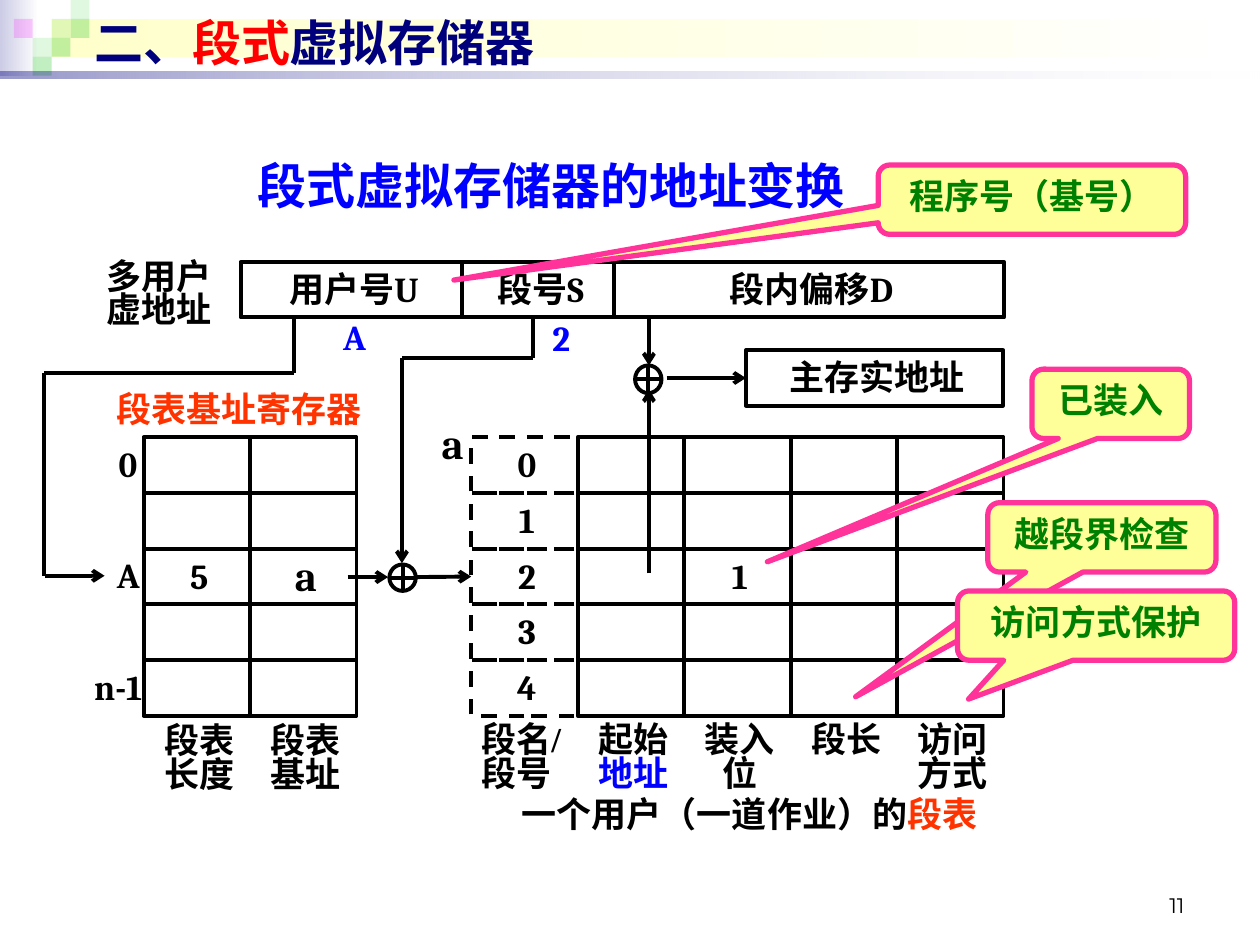
from lxml import etree
from pptx import Presentation, util as u
from pptx.dml.color import RGBColor
from pptx.enum import dml, shapes, text as t
from pptx.oxml.ns import qn

BLACK = RGBColor(0, 0, 0)
WHITE = RGBColor(255, 255, 255)
NAVY = RGBColor(0, 0, 0x7D)
BLUE = RGBColor(0, 0, 255)
RED = RGBColor(255, 0, 0)
ORANGE = RGBColor(255, 0x33, 0)
GREEN = RGBColor(0, 0x80, 0)
LEAF = RGBColor(0x33, 0xCC, 0x33)
MAGENTA = RGBColor(255, 0, 255)
PINK = RGBColor(255, 0x33, 0x99)
YELLOW = RGBColor(255, 255, 0x99)
CREAM = RGBColor(255, 255, 0xCC)
LILAC = RGBColor(0xCC, 0xCC, 0xE6)
RECT = shapes.MSO_SHAPE.RECTANGLE
PLUS = shapes.MSO_SHAPE.FLOWCHART_OR
CALLOUT = shapes.MSO_SHAPE.ROUNDED_RECTANGULAR_CALLOUT
LEFT, MID, RIGHT = t.PP_ALIGN.LEFT, t.PP_ALIGN.CENTER, t.PP_ALIGN.RIGHT
TOP, CENTRE, BOTTOM = t.MSO_ANCHOR.TOP, t.MSO_ANCHOR.MIDDLE, t.MSO_ANCHOR.BOTTOM

deck = Presentation()
deck.slide_width, deck.slide_height = u.Inches(10), u.Inches(7.5)
slide = deck.slides.add_slide(deck.slide_layouts[6])


def put(spot, text="", hue=BLACK, kind=None, size=20, face="Cambria", bold=True,
        align=MID, anchor=CENTRE, tight=True, more=()):
    """Add a text box, or an outlined shape of a kind; more holds (text, colour) runs."""
    spot = [u.Inches(n) for n in spot]
    if kind is None:
        box = slide.shapes.add_textbox(*spot)
    else:
        box = slide.shapes.add_shape(kind, *spot)
        box.shadow.inherit = False
        box.fill.background()
        box.line.color.rgb = BLACK
        box.line.width = u.Pt(2.25)
    if not text:
        return box
    frame = box.text_frame
    frame.text = text
    frame.word_wrap = not tight
    frame.vertical_anchor = anchor
    if tight:
        frame.margin_left = u.Inches(0.08)
        frame.margin_top = frame.margin_right = u.Inches(0.04)
        frame.margin_bottom = 0
    for extra, _ in more:
        frame.paragraphs[0].add_run().text = extra
    for para in frame.paragraphs:
        para.alignment = align
        if tight:
            para.line_spacing = 0.8
        for run in para.runs:
            run.font.size, run.font.name, run.font.bold = u.Pt(size), face, bold
            run.font.color.rgb = hue
    for run, (_, tone) in zip(frame.paragraphs[0].runs[1:], more):
        run.font.color.rgb = tone
    return box


def link(x1, y1, x2, y2, arrow=True, goal=None):
    """Draw a line; goal is a box whose left side it joins."""
    line = slide.shapes.add_connector(shapes.MSO_CONNECTOR.STRAIGHT,
                                      *[u.Inches(n) for n in (x1, y1, x2, y2)])
    line.line.color.rgb = BLACK
    line.line.width = u.Pt(2.25)
    if arrow:
        etree.SubElement(line.line._get_or_add_ln(), qn("a:tailEnd"), type="arrow")
    etree.SubElement(line._element.spPr, qn("a:effectLst"))
    if goal is not None:
        line.end_connect(goal, 1)


# Header band: (spot, colour, end colour, start alpha, end alpha)
band = [((0, 0, 0.31, 0.6), LILAC, WHITE, 100, 100),
        ((0.41, 0.15, 9.55, 0.3), CREAM, WHITE, 100, 100)]
for col, row, hue, alpha in [(2, 1, LEAF, 15), (3, 0, LEAF, 15), (3, 1, LEAF, 30),
                             (1, 2, LEAF, 15), (0, 1, MAGENTA, 20), (2, 2, LEAF, 30),
                             (1, 3, LEAF, 30)]:
    band.append(((0.11 + 0.15 * col, 0.15 * row, 0.15, 0.15), hue, None, alpha, alpha))
band.append(((0, 0.57, 10, 0.05), NAVY, WHITE, 40, 10))
for spot, hue, end, *alphas in band:
    tile = put(spot, kind=RECT)
    tile.line.fill.background()
    if end is None:
        tile.fill.solid()
        tile.fill.fore_color.rgb = hue
    else:
        tile.fill.gradient()
        tile.fill.gradient_angle = 0
        for stop, tone, place in zip(tile.fill.gradient_stops, (hue, end), (0, 1)):
            stop.color.rgb, stop.position = tone, place
    for tint, alpha in zip(tile._element.spPr.iter(qn("a:srgbClr")), alphas):
        if alpha < 100:
            etree.SubElement(tint, qn("a:alpha"), val=str(alpha * 1000))

put((7.17, 6.93, 2.33, 0.4), "11", size=12, face="Montserrat", bold=False,
    align=RIGHT, anchor=BOTTOM, tight=False)
put((0.65, 0.05, 9, 0.57), "二、", NAVY, size=28, face="Arial", align=LEFT,
    tight=False, more=[("段式", RED), ("虚拟存储器", NAVY)])
put((1.54, 1.15, 5.67, 0.63), "段式虚拟存储器的地址变换", BLUE, size=28, face="Arial",
    tight=False)

# Virtual address fields
put((0.64, 1.95, 1.2, 0.76), "多用户\v虚地址")
for x, w, name in [(1.91, 1.76, "用户号U"), (3.67, 1.2, "段号S"), (4.87, 3.1, "段内偏移D")]:
    put((x, 2.08, w, 0.44), name, kind=RECT)
put((2.57, 2.46, 0.45, 0.44), "A", BLUE)
put((4.21, 2.47, 0.45, 0.44), "2", BLUE)
real = put((5.92, 2.78, 2.04, 0.44), "主存实地址", kind=RECT)

# Base register table and segment table share one grid pitch
wide, high, top = 0.845, 0.4425, 3.47
values = {(2, 0): "5", (2, 1): "a"}
for row in range(5):
    for col in range(2):
        word = values.get((row, col), "")
        put((1.14 + wide * col, top + high * row, wide, high), word, kind=RECT,
            size=24 if word == "a" else 20)
    for col in range(1, 5):
        put((3.74 + wide * col, top + high * row, wide, high),
            "1" if (row, col) == (2, 2) else "", kind=RECT)
    cell = put((3.74, top + high * row, wide, high), str(row), kind=RECT)
    cell.line.dash_style = dml.MSO_LINE.DASH
    if row == 2:
        entry = cell

for col, name in enumerate(["段表\v长度", "段表\v基址"]):
    put((1.14 + wide * col, 5.73, wide, 0.69), name, anchor=TOP)
put((3.74, 5.72, wide, 0.69), "段名/\v段号", face="Times New Roman", align=LEFT, anchor=TOP)
for col, name in enumerate(["起始\n地址", "装入\v位", "段长", "访问\v方式"], 1):
    head = put((3.74 + wide * col, 5.72, wide, 0.69), name, anchor=TOP)
    if col == 1:
        head.text_frame.paragraphs[1].runs[0].font.color.rgb = BLUE
for x, y, name, size in [(0.43, 3.47, "0", 20), (0.45, 4.35, "A", 20),
                         (0.47, 5.24, "n-1", 20), (3.02, 3.31, "a", 24)]:
    put((x, y, 0.7, 0.44), name, size=size, align=RIGHT)
put((0.51, 3.06, 2.74, 0.38), "段表基址寄存器", ORANGE)
put((3.5, 6.28, 4.86, 0.38), "一个用户（一道作业）的", more=[("段表", ORANGE)])

# Adders and address paths
put((3.09, 4.48, 0.21, 0.21), kind=PLUS)
put((5.04, 2.9, 0.21, 0.22), kind=PLUS)
for ends in [(2.33, 2.52, 2.33, 2.96), (2.33, 2.96, 0.35, 2.96), (0.35, 2.96, 0.35, 4.57),
             (4.23, 2.52, 4.23, 2.84), (4.23, 2.84, 3.19, 2.84)]:
    link(*ends, arrow=False)
for ends in [(0.36, 4.57, 0.83, 4.57), (3.19, 2.84, 3.19, 4.47), (2.76, 4.58, 3.08, 4.58),
             (5.15, 4.55, 5.15, 3.09), (5.15, 2.52, 5.15, 2.9)]:
    link(*ends)
link(3.31, 4.58, 3.74, 4.58, goal=entry)
link(5.29, 3, 5.92, 3, goal=real)

# Callouts: (left, top, width, text, pointer x, pointer y)
for x, y, w, note, dx, dy in [(7.84, 3.99, 1.81, "越段界检查", -1.08, 2.3),
                              (7.6, 4.69, 2.2, "访问方式保护", -0.46, 1.06),
                              (6.97, 1.31, 2.44, "程序号（基号）", -1.88, 1.16),
                              (8.19, 2.93, 1.25, "已装入", -2.18, 2.28)]:
    bubble = put((x, y, w, 0.55), note, GREEN, kind=CALLOUT, face="Arial",
                 anchor=TOP, tight=False)
    bubble.adjustments[0], bubble.adjustments[1] = dx, dy
    bubble.fill.solid()
    bubble.fill.fore_color.rgb = YELLOW
    bubble.line.color.rgb = PINK
    bubble.line.width = u.Pt(3)

deck.save("out.pptx")
